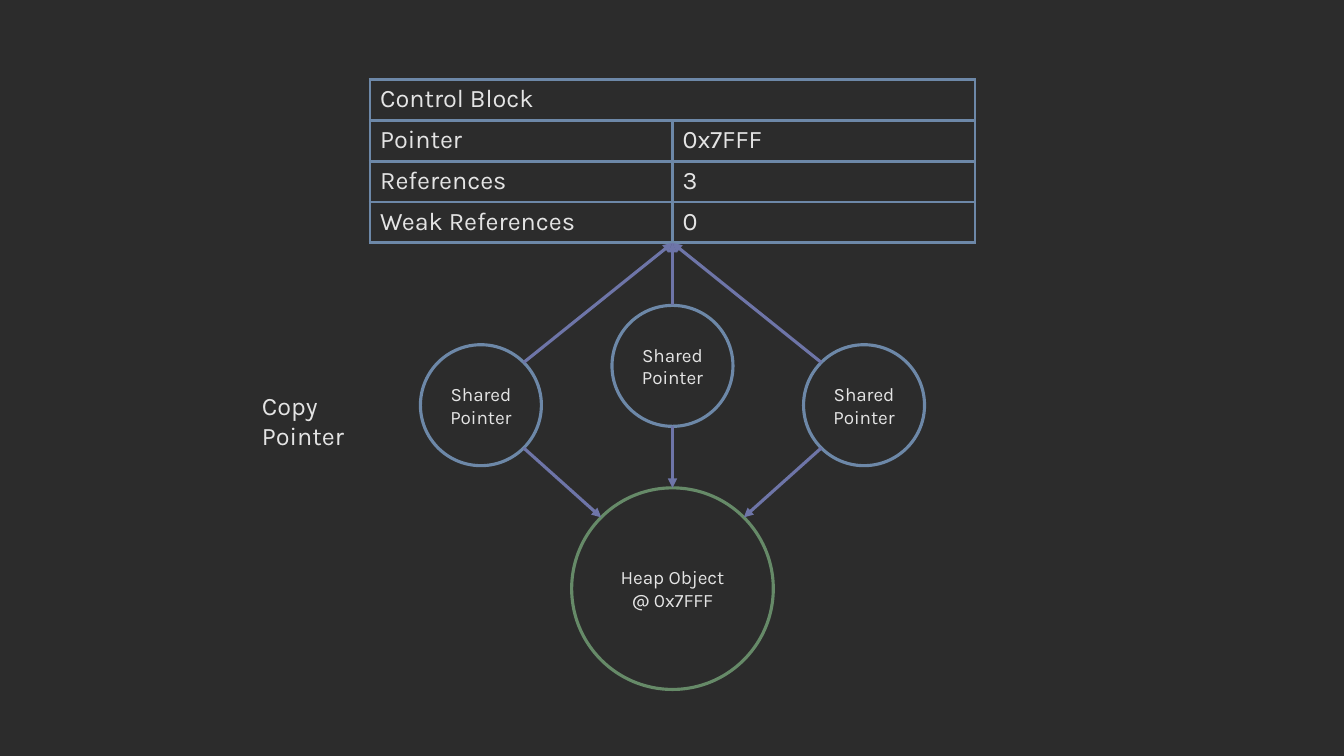
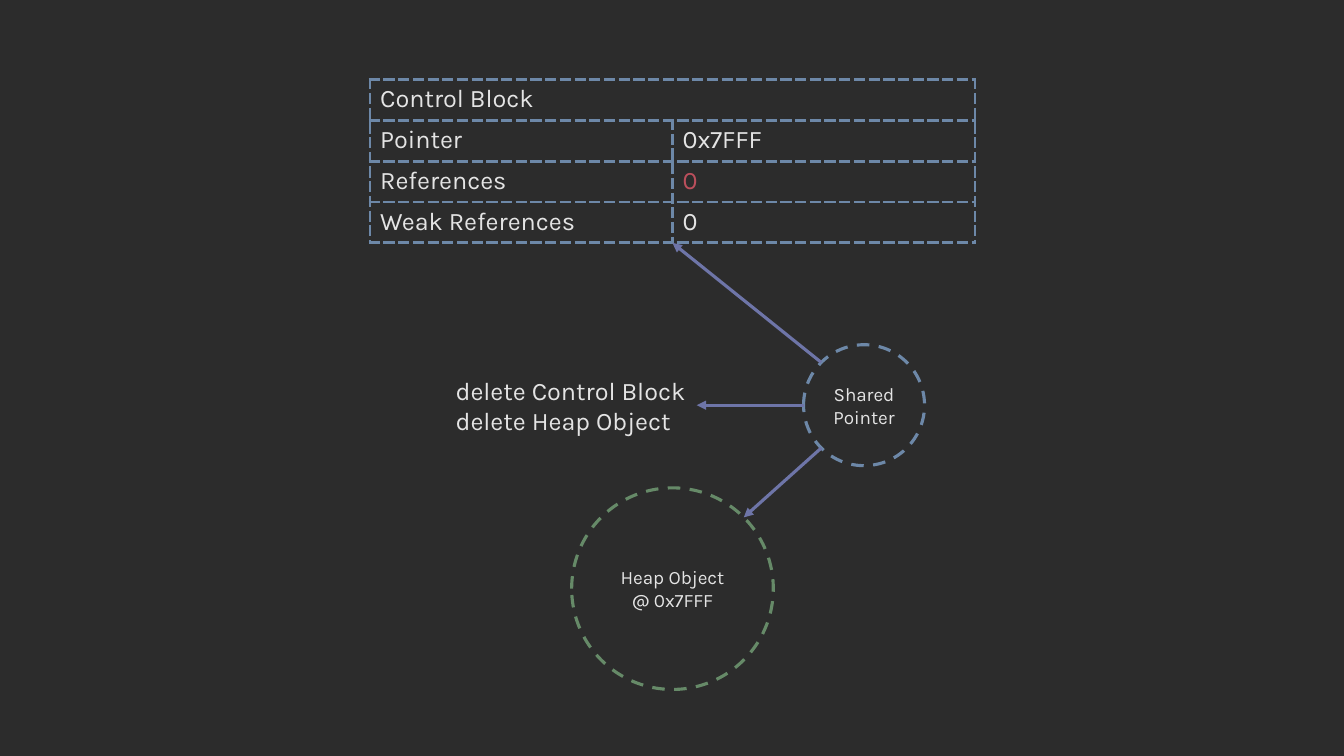
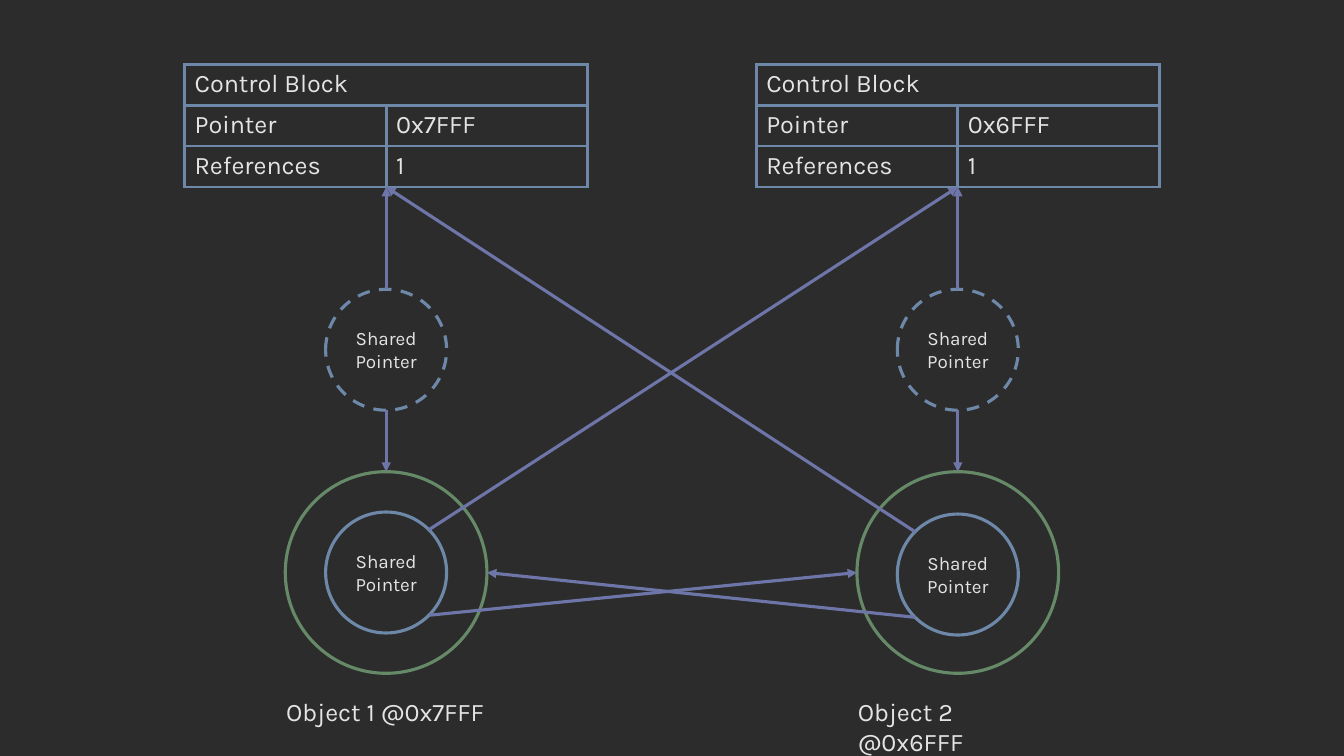
"""Builds three slides that explain shared pointers and their control blocks."""
import math

import pptx
import pptx.dml.color
import pptx.enum.dml
import pptx.enum.shapes
import pptx.enum.text
import pptx.oxml
import pptx.oxml.ns
import pptx.util

Inches = pptx.util.Inches
Pt = pptx.util.Pt
RGBColor = pptx.dml.color.RGBColor
PP_ALIGN = pptx.enum.text.PP_ALIGN
MSO_ANCHOR = pptx.enum.text.MSO_ANCHOR

BACKGROUND = RGBColor(0x2C, 0x2C, 0x2C)
TEXT = RGBColor(0xE4, 0xE4, 0xE4)
ALERT = RGBColor(0xBB, 0x4F, 0x5C)
BLUE = RGBColor(0x6D, 0x88, 0xA8)
GREEN = RGBColor(0x66, 0x8A, 0x68)
PURPLE = RGBColor(0x6E, 0x75, 0xA8)

FONT = {"name": "Karla", "bold": False}
BODY_SIZE, CIRCLE_SIZE = Pt(18), Pt(13.5)
LINE_WIDTH = Pt(2.25)
ROW_HEIGHT = 0.405
POINTER_RADIUS, HEAP_RADIUS = 0.6, 1
MIDDLE, LEFT, RIGHT = 6.67, 3.83, 9.5
PLAIN_TABLE = {"first_row": False, "horz_banding": False}

DIAGONAL = math.sqrt(0.5)
SIDES = {
    "n": (0, -1), "s": (0, 1), "w": (-1, 0), "e": (1, 0),
    "nw": (-DIAGONAL, -DIAGONAL), "ne": (DIAGONAL, -DIAGONAL),
    "sw": (-DIAGONAL, DIAGONAL), "se": (DIAGONAL, DIAGONAL),
}


def pointer(center_x, center_y, dashed=False):
    return {"center": (center_x, center_y), "radius": POINTER_RADIUS,
            "color": BLUE, "dashed": dashed, "text": "Shared Pointer"}


def heap(center_x, center_y, text="", dashed=False):
    return {"center": (center_x, center_y), "radius": HEAP_RADIUS,
            "color": GREEN, "dashed": dashed, "text": text}


def block(center_x, top, width, *values, dashed=False, alert_row=None):
    labels = ("Pointer", "References", "Weak References")
    return {"center_x": center_x, "top": top, "width": width, "dashed": dashed,
            "rows": [("Control Block", "")] + list(zip(labels, values)),
            "alert_row": alert_row}


HEAP_TEXT = "Heap Object @ 0x7FFF"

SLIDES = [
    {
        "circles": {"heap": heap(MIDDLE, 5.84, HEAP_TEXT),
                    "left": pointer(4.77, 4.02),
                    "middle": pointer(MIDDLE, 3.63),
                    "right": pointer(8.57, 4.02)},
        "blocks": {"block": block(MIDDLE, 0.79, 6, "0x7FFF", "3", "0")},
        "arrows": [(("middle", "s"), ("heap", "n")),
                   (("middle", "n"), "block"),
                   (("right", "nw"), "block"),
                   (("right", "sw"), ("heap", "ne")),
                   (("left", "se"), ("heap", "nw")),
                   (("left", "ne"), "block")],
        "labels": [(2.5, 3.82, 1.59, ["Copy Pointer"])],
    },
    {
        "circles": {"heap": heap(MIDDLE, 5.84, HEAP_TEXT, dashed=True),
                    "right": pointer(8.57, 4.02, dashed=True)},
        "blocks": {"block": block(MIDDLE, 0.79, 6, "0x7FFF", "0", "0",
                                  dashed=True, alert_row=2)},
        "arrows": [(("right", "nw"), "block"),
                   (("right", "sw"), ("heap", "ne")),
                   (("right", "w"), (6.91, 4.02))],
        "labels": [(4.42, 3.67, 2.49,
                    ["delete Control Block", "delete Heap Object"])],
    },
    {
        "circles": {"object 1": heap(LEFT, 5.68),
                    "outer 1": pointer(LEFT, 3.47, dashed=True),
                    "inner 1": pointer(LEFT, 5.68),
                    "object 2": heap(RIGHT, 5.68),
                    "outer 2": pointer(RIGHT, 3.47, dashed=True),
                    "inner 2": pointer(RIGHT, 5.7)},
        "blocks": {"block 1": block(LEFT, 0.64, 4, "0x7FFF", "1"),
                   "block 2": block(RIGHT, 0.64, 4, "0x6FFF", "1")},
        "arrows": [(("outer 1", "s"), ("object 1", "n")),
                   (("outer 1", "n"), "block 1"),
                   (("outer 2", "s"), ("object 2", "n")),
                   (("outer 2", "n"), "block 2"),
                   (("inner 1", "ne"), "block 2"),
                   (("inner 1", "se"), ("object 2", "w")),
                   (("inner 2", "nw"), "block 1"),
                   (("inner 2", "sw"), ("object 1", "e"))],
        "labels": [(2.74, 6.86, 2.18, ["Object 1 @0x7FFF"]),
                   (8.41, 6.86, 2.18, ["Object 2 @0x6FFF"])],
    },
]


def set_values(target, values):
    for name, value in values.items():
        setattr(target, name, value)


def write(paragraph, text, size, color=TEXT, alignment=PP_ALIGN.LEFT):
    paragraph.alignment = alignment
    run = paragraph.add_run()
    run.text = text
    set_values(run.font, {**FONT, "size": size})
    run.font.color.rgb = color


def style_line(line, color, dashed=False):
    line.color.rgb = color
    line.width = LINE_WIDTH
    if dashed:
        line.dash_style = pptx.enum.dml.MSO_LINE.DASH


def add_circle(slide, center, radius, color, dashed, text):
    left, top = (Inches(value - radius) for value in center)
    shape = slide.shapes.add_shape(pptx.enum.shapes.MSO_SHAPE.OVAL, left, top,
                                   Inches(2 * radius), Inches(2 * radius))
    shape.shadow.inherit = False
    shape.fill.background()
    style_line(shape.line, color, dashed)
    if text:
        frame = shape.text_frame
        set_values(frame, {"word_wrap": True, "vertical_anchor": MSO_ANCHOR.MIDDLE})
        write(frame.paragraphs[0], text, CIRCLE_SIZE, alignment=PP_ALIGN.CENTER)


def add_borders(cell, dashed):
    properties = cell._tc.get_or_add_tcPr()
    for index, side in enumerate("LRTB"):
        properties.insert(index, pptx.oxml.parse_xml(
            f'<a:ln{side} {pptx.oxml.ns.nsdecls("a")} w="{int(LINE_WIDTH)}">'
            f'<a:solidFill><a:srgbClr val="{BLUE}"/></a:solidFill>'
            f'<a:prstDash val="{"dash" if dashed else "solid"}"/></a:ln{side}>'))


def add_block(slide, center_x, top, width, dashed, rows, alert_row):
    table = slide.shapes.add_table(
        len(rows), 2, Inches(center_x - width / 2), Inches(top),
        Inches(width), Inches(ROW_HEIGHT * len(rows))).table
    set_values(table, PLAIN_TABLE)
    for row_index, values in enumerate(rows):
        table.rows[row_index].height = Inches(ROW_HEIGHT)
        for column_index, value in enumerate(values):
            cell = table.cell(row_index, column_index)
            cell.fill.background()
            add_borders(cell, dashed)
            alert = row_index == alert_row and column_index == 1
            if value:
                write(cell.text_frame.paragraphs[0], value, BODY_SIZE,
                      ALERT if alert else TEXT)
    table.cell(0, 0).merge(table.cell(0, 1))


def locate(content, place):
    if place in content["blocks"]:
        target = content["blocks"][place]
        return target["center_x"], target["top"] + ROW_HEIGHT * len(target["rows"])
    if place[0] in content["circles"]:
        name, side = place
        circle = content["circles"][name]
        return tuple(middle + circle["radius"] * step
                     for middle, step in zip(circle["center"], SIDES[side]))
    return place


def add_arrow(slide, start, end):
    connector = slide.shapes.add_connector(
        pptx.enum.shapes.MSO_CONNECTOR.STRAIGHT,
        *(Inches(value) for value in (*start, *end)))
    style_line(connector.line, PURPLE)
    namespace = pptx.oxml.ns.nsdecls("a")
    connector.line._get_or_add_ln().append(
        pptx.oxml.parse_xml(f'<a:tailEnd {namespace} type="triangle"/>'))
    connector._element.spPr.append(
        pptx.oxml.parse_xml(f"<a:effectLst {namespace}/>"))


def add_label(slide, left, top, width, lines):
    box = slide.shapes.add_textbox(Inches(left), Inches(top), Inches(width),
                                   Inches(0.1 + 0.3 * len(lines)))
    frame = box.text_frame
    set_values(frame, {"word_wrap": True, "vertical_anchor": MSO_ANCHOR.TOP})
    for index, line in enumerate(lines):
        paragraph = frame.add_paragraph() if index else frame.paragraphs[0]
        write(paragraph, line, BODY_SIZE)


def main():
    presentation = pptx.Presentation()
    set_values(presentation, {"slide_width": Inches(13.33),
                              "slide_height": Inches(7.5)})
    for content in SLIDES:
        slide = presentation.slides.add_slide(presentation.slide_layouts[6])
        slide.background.fill.solid()
        slide.background.fill.fore_color.rgb = BACKGROUND
        for circle in content["circles"].values():
            add_circle(slide, **circle)
        for control_block in content["blocks"].values():
            add_block(slide, **control_block)
        for start, end in content["arrows"]:
            add_arrow(slide, locate(content, start), locate(content, end))
        for label in content["labels"]:
            add_label(slide, *label)
    presentation.save("out.pptx")


if __name__ == "__main__":
    main()
